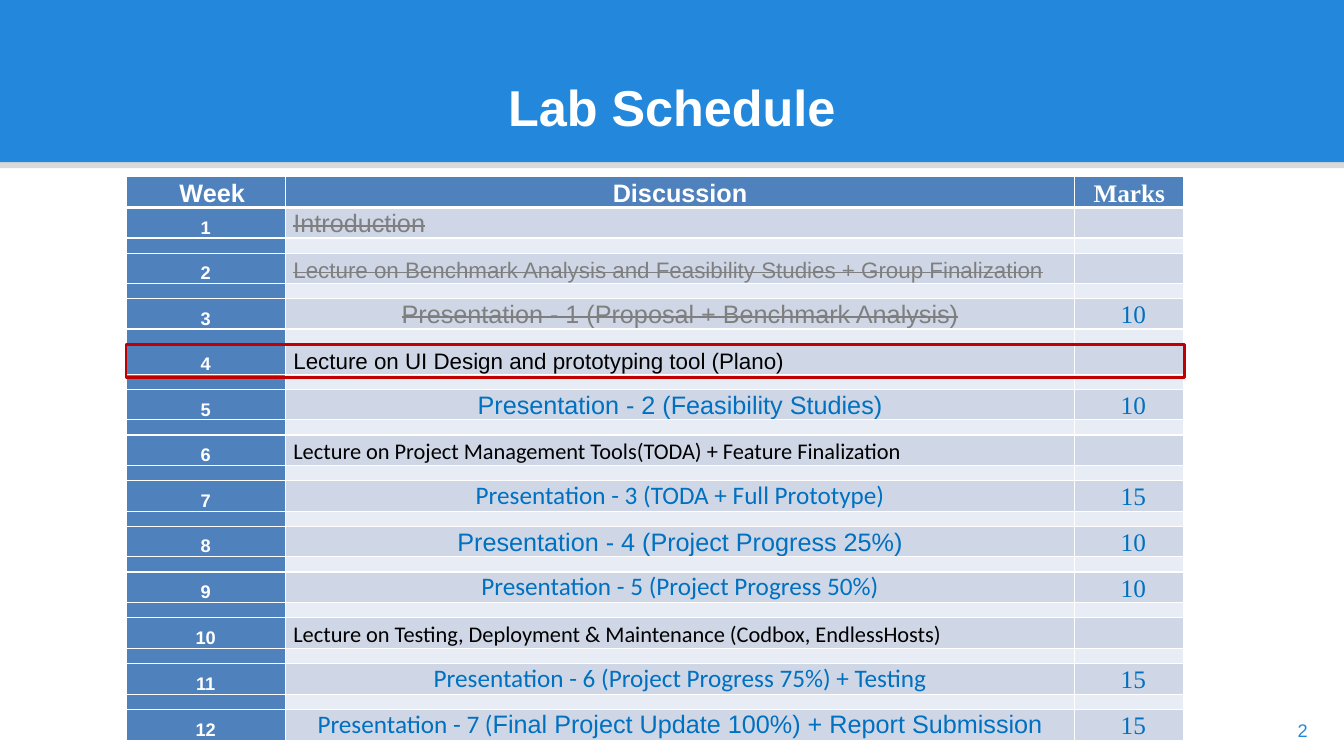
from dataclasses import dataclass
from lxml.etree import SubElement as Sub
from pptx import Presentation
from pptx.dml.color import RGBColor as Rgb
from pptx.enum.shapes import MSO_SHAPE as Shape
from pptx.enum.text import MSO_ANCHOR as Anchor, MSO_AUTO_SIZE as Fit, PP_ALIGN as Align
from pptx.oxml.ns import qn
from pptx.util import Inches, Pt


@dataclass(frozen=True)
class Theme:
    """Colours, fonts and type sizes of the slide."""
    blue: str = "2388DB"
    head: str = "4F81BD"
    row: str = "CFD7E7"
    gap: str = "E8ECF4"
    link: str = "0070C0"
    done: str = "7F7F7F"
    red: str = "C00000"
    black: str = "000000"
    white: str = "FFFFFF"
    sans: str = "Arial"
    body: str = "Calibri"
    serif: str = "Times New Roman"
    title: int = 36
    large: int = 18
    mid: int = 16
    small: int = 13
    tiny: int = 8


T = Theme()
HEAD = 0.31
COLS = (1.58, 7.83, 1.08)
NOW = 4
DONE = 3
WEEKS = [
    ([("Introduction", T.sans)], T.large, ""),
    ([("Lecture on Benchmark Analysis and Feasibility Studies + Group Finalization", T.sans)],
     T.mid, ""),
    ([("Presentation - 1 (Proposal + Benchmark Analysis)", T.sans)], T.large, "10"),
    ([("Lecture on UI Design and prototyping tool (Plano)", T.sans)], T.mid, ""),
    ([("Presentation - 2 (Feasibility Studies)", T.sans)], T.large, "10"),
    ([("Lecture on Project Management Tools(TODA) + Feature Finalization", T.body)], T.mid, ""),
    ([("Presentation - 3 (TODA + Full Prototype)", T.body)], T.large, "15"),
    ([("Presentation - 4 (Project Progress 25%)", T.sans)], T.large, "10"),
    ([("Presentation - 5 (Project Progress 50%)", T.body)], T.large, "10"),
    ([("Lecture on Testing, Deployment & Maintenance (Codbox, EndlessHosts)", T.body)],
     T.mid, ""),
    ([("Presentation - 6 (Project Progress 75%) + Testing", T.body)], T.large, "15"),
    ([("Presentation - 7 (", T.body),
      ("Final Project Update 100%) + Report Submission", T.sans)], T.large, "15"),
]


def style(font, size, color, face=None, bold=False):
    """Set size, colour, face and weight of a font."""
    font.size, font.bold = Pt(size), bold
    font.color.rgb = Rgb.from_string(color)
    if face:
        font.name = face


def bare(frame):
    """Clear the margins of a text frame and keep its size fixed."""
    frame.margin_left = frame.margin_top = frame.margin_right = frame.margin_bottom = 0
    frame.word_wrap, frame.auto_size = True, Fit.NONE


def block(slide, box, fill=None, line=None, alpha=None):
    """Draw a plain rectangle with an optional fill, opacity and outline."""
    shape = slide.shapes.add_shape(Shape.RECTANGLE, *map(Inches, box))
    shape.shadow.inherit = False
    if fill:
        shape.fill.solid()
        shape.fill.fore_color.rgb = Rgb.from_string(fill)
    else:
        shape.fill.background()
    if alpha:
        tint = shape._element.spPr.find(".//" + qn("a:srgbClr"))
        Sub(tint, qn("a:alpha"), val=str(alpha * 1000))
    if line:
        shape.line.color.rgb = Rgb.from_string(line)
        shape.line.width = Pt(2)
    else:
        shape.line.fill.background()


def banner(slide, box):
    """Draw the title band with its lower edge and place the title in it."""
    x, y, w, h = box
    block(slide, box, T.blue)
    block(slide, (x, y + h, w, 0.06), T.black, alpha=15)
    title = slide.shapes.title
    title.left, title.top = Inches(x + 2.73), Inches(y + 0.75)
    title.width, title.height = Inches(7.87), Inches(0.63)
    frame = title.text_frame
    bare(frame)
    frame.vertical_anchor = Anchor.TOP
    frame.text = "Lab Schedule"
    para = frame.paragraphs[0]
    para.alignment = Align.CENTER
    style(para.font, T.title, T.white, T.sans, True)
    slide.shapes._spTree.append(title._element)


def number(slide, box):
    """Write the page number."""
    frame = slide.shapes.add_textbox(*map(Inches, box)).text_frame
    bare(frame)
    frame.margin_left = Inches(0.04)
    para = frame.paragraphs[0]
    para.text, para.line_spacing = "2", 1.18
    style(para.font, T.small, T.blue, T.sans)


def paint(cell, fill, base=1):
    """Fill a cell, give it white borders and keep it free to be low."""
    cell.margin_left = cell.margin_top = cell.margin_right = cell.margin_bottom = 0
    cell.vertical_anchor = Anchor.BOTTOM
    props = cell._tc.get_or_add_tcPr()
    for side, width in (("L", 1), ("R", 1), ("T", 1), ("B", base)):
        edge = Sub(props, qn("a:ln" + side), w=str(Pt(width)))
        Sub(Sub(edge, qn("a:solidFill")), qn("a:srgbClr"), val=T.white)
    cell.fill.solid()
    cell.fill.fore_color.rgb = Rgb.from_string(fill)
    end = cell.text_frame.paragraphs[0]._p.get_or_add_endParaRPr()
    end.set("sz", str(T.tiny * 100))


def write(cell, runs, size, color, bold=False, indent=0, mid=True, strike=False):
    """Write runs of text and face into a cell."""
    para = cell.text_frame.paragraphs[0]
    para.alignment = Align.CENTER if mid else Align.LEFT
    props = para._p.get_or_add_pPr()
    props.set("marL", str(Inches(indent)))
    props.set("indent", "0")
    style(para.font, size, color, runs[0][1], bold)
    for text, face in runs:
        run = para.add_run()
        run.text = text
        if face != runs[0][1]:
            run.font.name = face
        if strike:
            run._r.get_or_add_rPr().set("strike", "sngStrike")


def plan(slide, box):
    """Build the schedule table and frame the current week."""
    x, y, w, h = box
    count = len(WEEKS)
    tall = (h - HEAD) / (count + (count - 1) / 2)
    table = slide.shapes.add_table(2 * count, 3, *map(Inches, box)).table
    table.first_row = table.horz_banding = False
    for col, width in zip(table.columns, COLS):
        col.width = Inches(width)
    for r, row in enumerate(table.rows):
        row.height = Inches(tall if r % 2 else tall / 2 if r else HEAD)
        for c, cell in enumerate(row.cells):
            fill = T.head if r == 0 or c == 0 else T.row if r % 2 else T.gap
            paint(cell, fill, 1 if r else 3)
    heads = (("Week", T.sans, 0.53), ("Discussion", T.sans, 0), ("Marks", T.serif, 0))
    for c, (text, face, indent) in enumerate(heads):
        write(table.cell(0, c), [(text, face)], T.large, T.white, True, indent, c > 0)
    for week, (runs, size, marks) in enumerate(WEEKS, 1):
        r = 2 * week - 1
        show = runs[0][0].startswith("Presentation")
        color = T.done if week <= DONE else T.link if show else T.black
        write(table.cell(r, 0), [(str(week), T.sans)], T.small, T.white, True)
        write(table.cell(r, 1), runs, size, color, indent=0 if show else 0.08,
              mid=show, strike=week <= DONE)
        if marks:
            write(table.cell(r, 2), [(marks, T.serif)], T.large, T.link, indent=0.08)
    top = y + HEAD + (NOW - 1) * tall * 1.5
    block(slide, (x, top, w, 0.33), line=T.red)


def main():
    """Build the slide and save it."""
    deck = Presentation()
    deck.slide_width, deck.slide_height = Inches(13.33), Inches(7.5)
    slide = deck.slides.add_slide(deck.slide_layouts[5])
    banner(slide, (0, 0, 13.33, 1.61))
    number(slide, (12.83, 7.1, 0.38, 0.21))
    plan(slide, (1.25, 1.75, 10.5, 5.58))
    deck.save("out.pptx")


if __name__ == "__main__":
    main()
